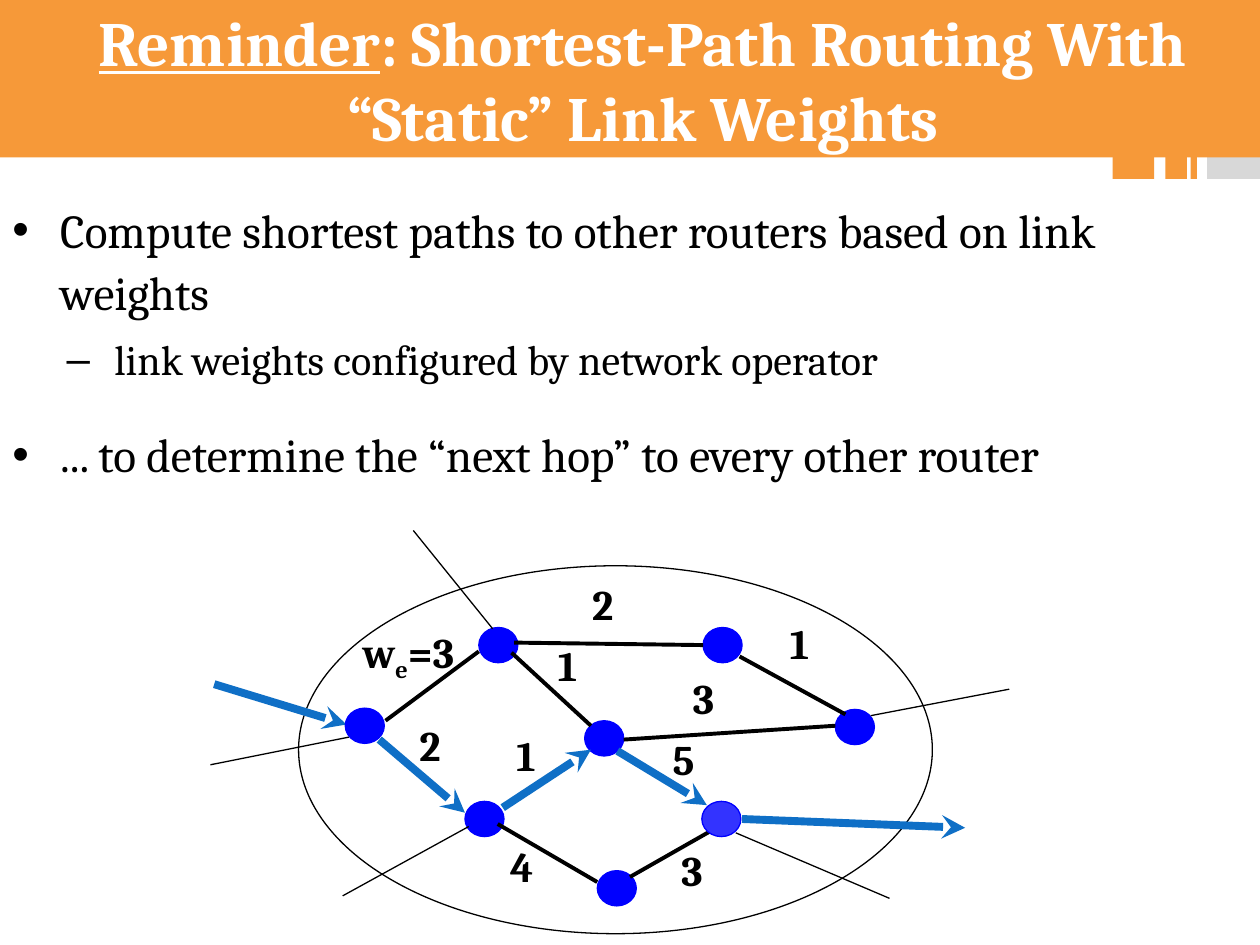
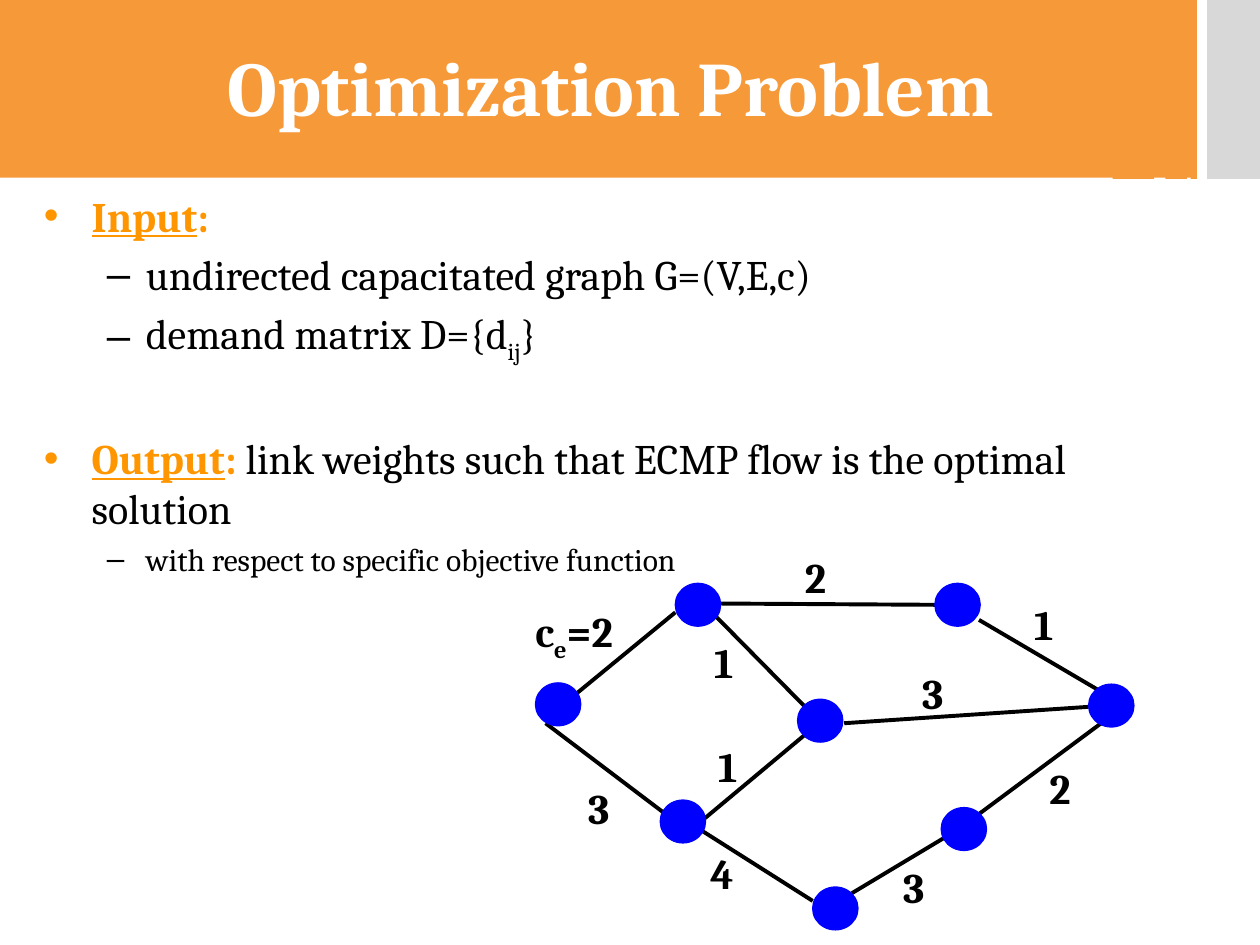
import dataclasses

import lxml.etree
import pptx
import pptx.dml.color
import pptx.enum.shapes
import pptx.enum.text
import pptx.oxml.ns
import pptx.util

PX = 9144  # EMU in one px: 100 px to the inch


@dataclasses.dataclass(frozen=True)
class Theme:
    font: str = "Cambria"
    orange: str = "F69939"
    gray: str = "D8D8D8"
    white: str = "FFFFFF"
    black: str = "000000"
    accent: str = "FF9600"
    node: str = "0000FF"
    exit: str = "3333FF"
    flow: str = "0F6FC6"
    label: int = 24
    thin: float = 0.75
    link: float = 2.25
    thick: float = 4.5


THEME = Theme()
SHAPE = pptx.enum.shapes.MSO_SHAPE
BANDS = [(883, 33, THEME.orange), (925, 17, THEME.orange),
         (945, 5, THEME.orange), (958, 42, THEME.gray)]


# ---- Shared helpers ----
def px(*sizes):
    return [pptx.util.Emu(size * PX) for size in sizes]


def rgb(code):
    return pptx.dml.color.RGBColor.from_string(code)


def add_tag(parent, tag, **values):
    node = lxml.etree.SubElement(parent, pptx.oxml.ns.qn(tag))
    for key, value in values.items():
        node.set(key, str(value))
    return node


def add_run(para, text, size, color=THEME.black, bold=False, line=False, base=0):
    run = para.add_run()
    run.text = text
    font = run.font
    font.name, font.size = THEME.font, pptx.util.Pt(size)
    font.bold, font.underline = bold, line
    font.color.rgb = rgb(color)
    if base:
        font._element.set("baseline", str(base * 1000))


def set_frame(frame, left=10):
    frame.word_wrap = True
    frame.auto_size = pptx.enum.text.MSO_AUTO_SIZE.NONE
    frame.margin_left, frame.margin_right = px(left, 10)
    frame.margin_top, frame.margin_bottom = px(5, 5)


def add_form(slide, kind, box, fill=None, line=None):
    shape = slide.shapes.add_shape(kind, *px(*box))
    shape.shadow.inherit = False
    if fill:
        shape.fill.solid()
        shape.fill.fore_color.rgb = rgb(fill)
    else:
        shape.fill.background()
    if line:
        shape.line.color.rgb = rgb(line)
        shape.line.width = pptx.util.Pt(THEME.thin)
    else:
        shape.line.fill.background()


# ---- Title and bands ----
def add_head(deck, box, lines, size):
    slide = deck.slides.add_slide(deck.slide_layouts[5])
    for left, width, color in BANDS:
        add_form(slide, SHAPE.RECTANGLE, (left, 0, width, 142), color)
    title = slide.shapes.title
    slide.shapes._spTree.append(title._element)  # in front of the bands
    title.left, title.top, title.width, title.height = px(*box)
    title.fill.solid()
    title.fill.fore_color.rgb = rgb(THEME.orange)
    frame = title.text_frame
    set_frame(frame, 30)
    frame.vertical_anchor = pptx.enum.text.MSO_ANCHOR.MIDDLE
    para = frame.paragraphs[0]
    para.alignment = pptx.enum.text.PP_ALIGN.CENTER
    for row, runs in enumerate(lines):
        if row:
            para.add_line_break()
        for text, line in runs:
            add_run(para, text, size, THEME.white, True, line)
    return slide


# ---- Bullet text ----
def add_body(slide, box, items, space=1.0):
    """Each item: mark, mark colour, left, hang, space before, runs."""
    frame = slide.shapes.add_textbox(*px(*box)).text_frame
    set_frame(frame)
    for row, (mark, color, left, hang, before, runs) in enumerate(items):
        para = frame.add_paragraph() if row else frame.paragraphs[0]
        props = para._p.get_or_add_pPr()
        props.set("marL", str(left * PX))
        props.set("indent", str(-hang * PX))
        add_tag(add_tag(props, "a:buClr"), "a:srgbClr", val=color)
        add_tag(props, "a:buFont", typeface="Arial")
        add_tag(props, "a:buChar", char=mark)
        para.line_spacing = space
        para.space_before = pptx.util.Pt(before)
        for text, size, style in runs:
            add_run(para, text, size, **style)


# ---- Parts of a network graph, placed from the box corner ----
def add_nodes(slide, box, spots, size, fill=THEME.node):
    for left, top in spots:
        add_form(slide, SHAPE.OVAL, (box[0] + left, box[1] + top, *size),
                 fill, THEME.node)


def add_links(slide, box, links, width, color=THEME.black, arrow=False):
    for x1, y1, x2, y2 in links:
        link = slide.shapes.add_connector(
            pptx.enum.shapes.MSO_CONNECTOR.STRAIGHT,
            *px(box[0] + x1, box[1] + y1, box[0] + x2, box[1] + y2))
        link.line.color.rgb = rgb(color)
        link.line.width = pptx.util.Pt(width)
        if arrow:
            add_tag(link.line._get_or_add_ln(), "a:tailEnd", type="stealth")
        add_tag(link._element.spPr, "a:effectLst")


def add_costs(slide, box, costs):
    for left, top, width, text in costs:
        area = px(box[0] + left, box[1] + top, width, 50)
        frame = slide.shapes.add_textbox(*area).text_frame
        set_frame(frame)
        name, mark, rest = text.partition("_")
        para = frame.paragraphs[0]
        add_run(para, name, THEME.label, bold=True)
        if mark:
            add_run(para, rest[0], THEME.label, bold=True, base=-25)
            add_run(para, rest[1:], THEME.label, bold=True)


# ---- Graph of the routed network ----
def add_route(slide, box):
    size = (31, 28)
    add_nodes(slide, box, [(209, 216), (220, 78), (304, 152), (398, 78),
                           (314, 271), (503, 143)], size)
    add_links(slide, box, [
        (146, 152, 220, 97), (246, 98, 309, 156), (235, 234, 314, 280),
        (340, 276, 405, 239), (335, 167, 503, 156), (248, 90, 398, 92),
        (427, 101, 511, 147)], THEME.link)
    add_costs(slide, box, [
        (118, 72, 98, "w_e=3"), (300, 34, 38, "2"), (163, 146, 38, "2"),
        (273, 83, 38, "1"), (240, 154, 38, "1"), (380, 109, 38, "3"),
        (457, 65, 38, "1"), (235, 242, 38, "4"), (364, 157, 38, "5"),
        (371, 245, 38, "3")])
    # Network border and the links that leave it
    add_form(slide, SHAPE.OVAL, (box[0] + 77, box[1] + 29, 503, 292),
             line=THEME.black)
    add_links(slide, box, [
        (117, 165, 7, 187), (424, 241, 546, 293), (641, 127, 531, 148),
        (168, 1, 231, 79), (212, 236, 112, 291)], THEME.thin)
    # Chosen path, from entry to exit
    add_links(slide, box, [
        (10, 123, 115, 155), (141, 167, 209, 225), (239, 221, 309, 175),
        (330, 176, 401, 219), (429, 230, 606, 237)],
        THEME.thick, THEME.flow, True)
    add_nodes(slide, box, [(114, 142)], size)
    add_nodes(slide, box, [(397, 216)], size, THEME.exit)


# ---- Graph of link capacities ----
def add_caps(slide, box):
    add_links(slide, box, [
        (42, 125, 126, 56), (157, 58, 229, 131), (145, 228, 235, 285),
        (266, 279, 341, 234), (260, 144, 454, 131), (159, 49, 332, 50),
        (367, 62, 464, 119), (23, 144, 126, 222), (132, 234, 235, 148),
        (359, 222, 464, 144)], THEME.link)
    add_nodes(slide, box, [(332, 33), (114, 205), (126, 33), (223, 125),
                           (235, 274), (454, 113), (337, 211), (15, 112)],
              (36, 34))
    add_costs(slide, box, [
        (5, 46, 85, "c_e=2"), (219, 3, 38, "2"), (150, 153, 38, "1"),
        (312, 95, 38, "3"), (401, 40, 38, "1"), (144, 238, 38, "4"),
        (297, 249, 38, "3"), (147, 70, 38, "1"), (47, 186, 38, "3"),
        (413, 170, 38, "2")])


# ---- Slides ----
def add_paths(deck):
    slide = add_head(deck, (0, 0, 1000, 125), [
        [("Reminder", True), (": Shortest-Path Routing With", False)],
        [("“Static” Link Weights", False)]], 36)
    add_body(slide, (0, 150, 1000, 495), [
        ("•", THEME.black, 38, 38, 0, [
            ("Compute shortest paths to other routers based on link weights",
             27, {})]),
        ("–", THEME.black, 81, 38, 4.8, [
            ("link weights configured by network operator", 24, {})]),
        ("•", THEME.black, 38, 38, 20.5, [
            ("... to determine the “next hop” to every other router",
             27, {})])], 1.1)
    add_route(slide, (160, 420))


def add_goal(deck):
    slide = add_head(deck, (0, -5, 950, 146),
                     [[("Optimization Problem", False)]], 44)
    key = {"color": THEME.accent, "bold": True}
    under = {**key, "line": True}
    add_body(slide, (25, 146, 900, 350), [
        ("•", THEME.accent, 38, 38, 0, [("Input", 24, under), (":", 24, key)]),
        ("–", THEME.black, 81, 31, 4.8, [
            ("undirected capacitated graph G=(V,E,c)", 24, {})]),
        ("–", THEME.black, 81, 31, 4.8, [
            ("demand matrix D={d", 24, {}), ("ij", 24, {"base": -25}),
            ("}", 24, {})]),
        ("•", THEME.accent, 38, 38, 38.6, [
            ("Output", 24, under), (": ", 24, key),
            ("link weights such that ECMP flow is the optimal solution",
             24, {})]),
        ("–", THEME.black, 81, 31, 3.6, [
            ("with respect to specific objective function", 18, {})])])
    add_caps(slide, (410, 430))


def main():
    deck = pptx.Presentation()
    deck.slide_width, deck.slide_height = px(1000, 750)
    add_paths(deck)
    add_goal(deck)
    deck.save("out.pptx")


if __name__ == "__main__":
    main()
